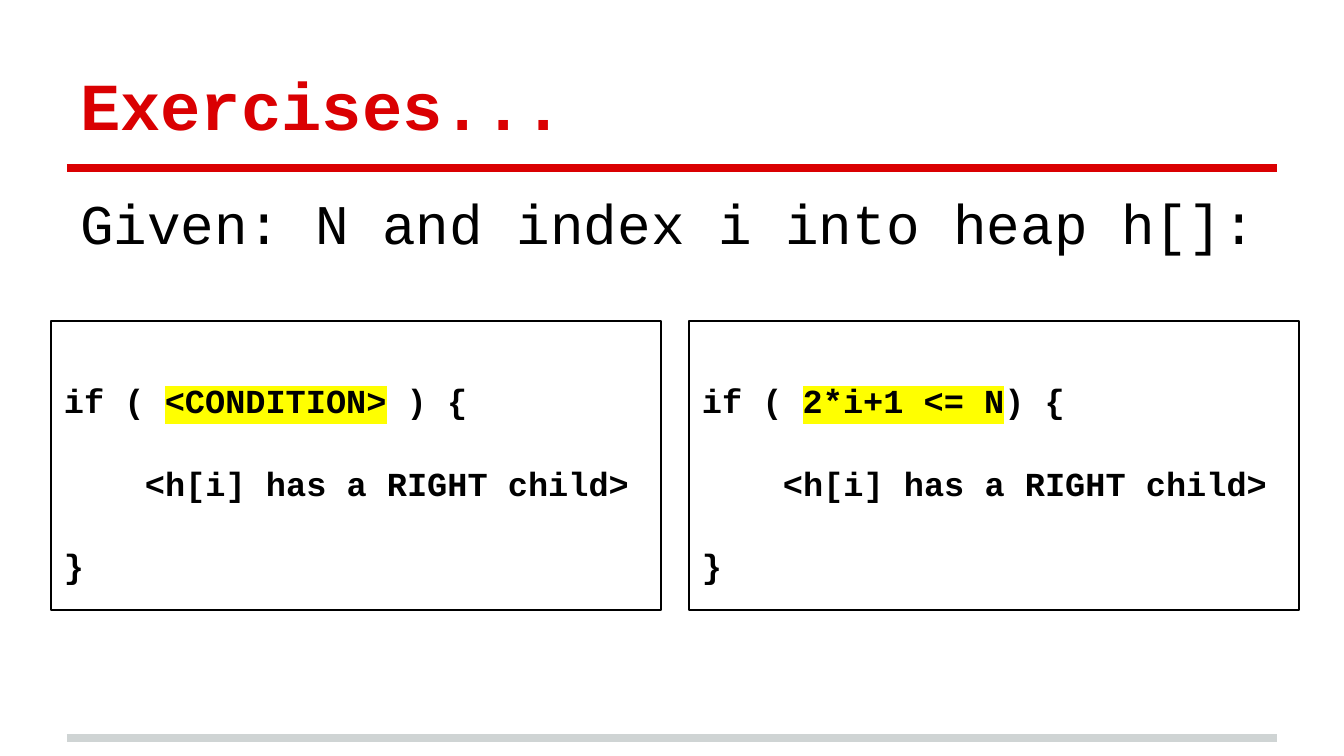
import pptx
import pptx.util
import pptx.dml.color
import pptx.enum.shapes
import pptx.enum.text
import pptx.oxml.ns
from lxml import etree

PX = 914400 / 134.4
FONT = "Courier New"
RED, GREY, BLACK, YELLOW = "DA0002", "CFD4D4", "000000", "FFFF00"


def px(length):
    return pptx.util.Emu(round(length * PX))


def add_run(paragraph, text, size, color, bold=False, highlight=None):
    run = paragraph.add_run()
    run.text = text
    run.font.size = pptx.util.Pt(size)
    run.font.bold = bold
    run.font.color.rgb = pptx.dml.color.RGBColor.from_string(color)
    if highlight:
        marker = etree.Element(pptx.oxml.ns.qn("a:highlight"))
        etree.SubElement(marker, pptx.oxml.ns.qn("a:srgbClr"), val=highlight)
        run.font._element.find(pptx.oxml.ns.qn("a:solidFill")).addnext(marker)
    run.font.name = FONT


presentation = pptx.Presentation()
presentation.slide_width = px(1344)
presentation.slide_height = px(756)
slide = presentation.slides.add_slide(presentation.slide_layouts[1])

# Rules under the title and at the foot
for y, color in ((738, GREY), (168, RED)):
    rule = slide.shapes.add_connector(
        pptx.enum.shapes.MSO_CONNECTOR.STRAIGHT, px(67), px(y), px(1277), px(y))
    rule.line.color.rgb = pptx.dml.color.RGBColor.from_string(color)
    rule.line.width = pptx.util.Pt(4)
    etree.SubElement(rule._element.spPr, pptx.oxml.ns.qn("a:effectLst"))

# Title and body
anchors = pptx.enum.text.MSO_ANCHOR
title, body = slide.shapes.title, slide.placeholders[1]
for placeholder, top, anchor, text, size, color, bold, space in (
    (title, 31, anchors.BOTTOM, "Exercises...", 36, RED, True, 0),
    (body, 176, anchors.TOP, "Given: N and index i into heap h[]:", 30, BLACK, False, 6),
):
    placeholder.left, placeholder.top = px(67), px(top)
    placeholder.width, placeholder.height = px(1210), px(126)
    frame = placeholder.text_frame
    frame.auto_size = pptx.enum.text.MSO_AUTO_SIZE.NONE
    frame.vertical_anchor = anchor
    frame.margin_left = frame.margin_right = px(13)
    frame.margin_top = frame.margin_bottom = px(13)
    paragraph = frame.paragraphs[0]
    paragraph.alignment = pptx.enum.text.PP_ALIGN.LEFT
    paragraph.space_before = pptx.util.Pt(space)
    properties = paragraph._p.get_or_add_pPr()
    properties.set("marL", "0")
    properties.set("indent", "0")
    etree.SubElement(properties, pptx.oxml.ns.qn("a:buNone"))
    add_run(paragraph, text, size, color, bold)

# Code boxes: the question and its answer
for left, condition, ending in (
    (51, "<CONDITION>", " ) {"),
    (689, "2*i+1 <= N", ") {"),
):
    box = slide.shapes.add_shape(
        pptx.enum.shapes.MSO_SHAPE.RECTANGLE, px(left), px(321), px(610), px(289))
    box.shadow.inherit = False
    box.fill.background()
    box.line.color.rgb = pptx.dml.color.RGBColor.from_string(BLACK)
    box.line.width = pptx.util.Pt(0.75)
    frame = box.text_frame
    frame.word_wrap = True
    frame.vertical_anchor = anchors.TOP
    frame.margin_left = frame.margin_right = frame.margin_bottom = px(13)
    frame.margin_top = px(59)

    code_lines = (
        (0, (("if ( ", None), (condition, YELLOW), (ending, None))),
        (81, (("<h[i] has a RIGHT child>", None),)),
        (0, (("}", None),)),
    )
    for number, (indent, pieces) in enumerate(code_lines):
        paragraph = frame.add_paragraph() if number else frame.paragraphs[0]
        paragraph.alignment = pptx.enum.text.PP_ALIGN.LEFT
        paragraph.space_before = pptx.util.Pt(22.7 if number else 0)
        paragraph._p.get_or_add_pPr().set("marL", str(px(indent)))
        for text, highlight in pieces:
            add_run(paragraph, text, 18, BLACK, True, highlight)

presentation.save("out.pptx")
